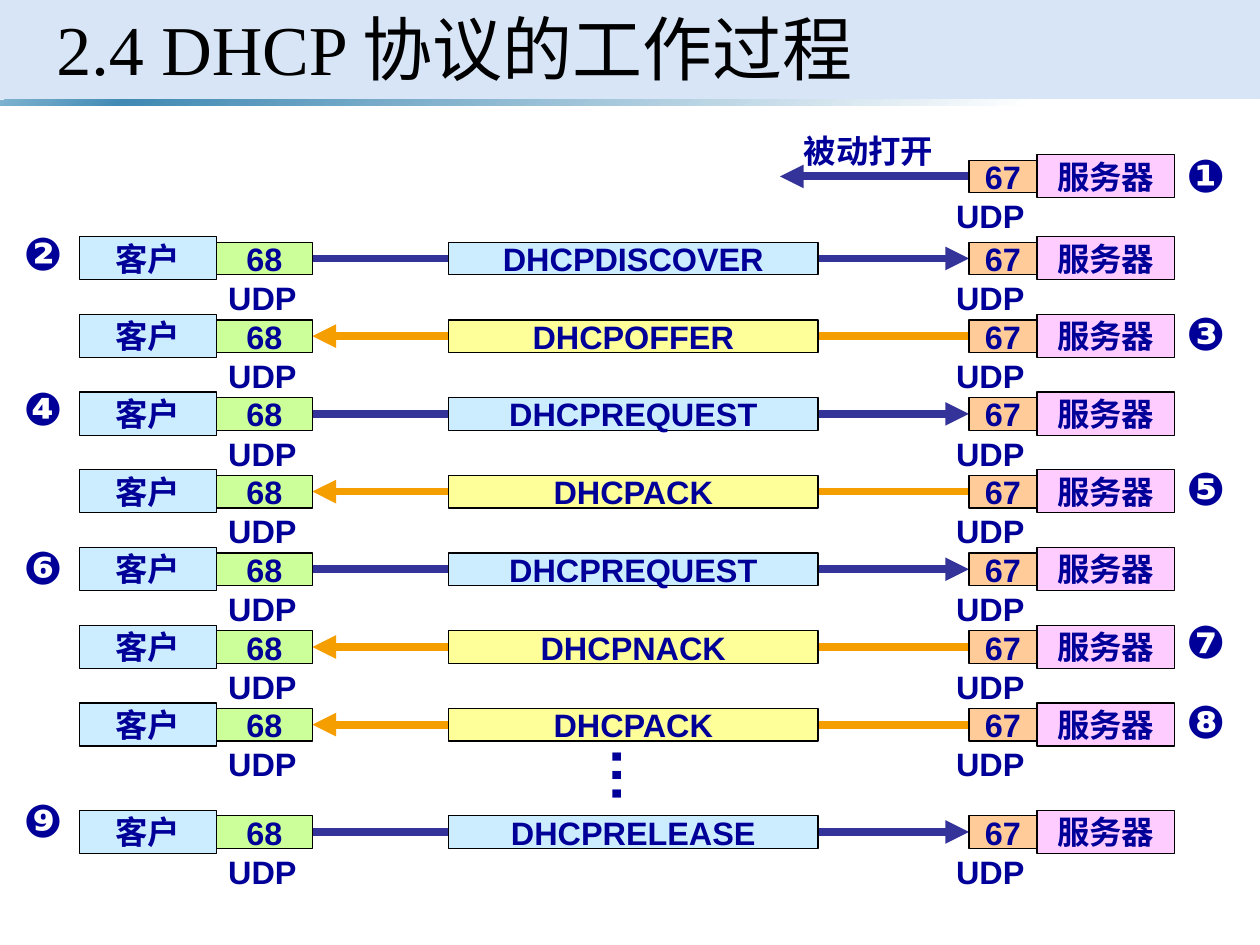
from lxml import etree
from pptx import Presentation
from pptx.dml.color import RGBColor
from pptx.enum.shapes import MSO_CONNECTOR as LINE, MSO_SHAPE as SHAPE
from pptx.enum.text import MSO_ANCHOR as ANCHOR, MSO_AUTO_SIZE as FIT, PP_ALIGN as ALIGN
from pptx.oxml import parse_xml
from pptx.oxml.ns import nsdecls, qn
from pptx.util import Pt

COLORS = {
    "text": "000099", "black": "000000", "banner": "C8DAF4",
    "client": "CCECFF", "server": "FFCCFF", "port 68": "CCFF99", "port 67": "FFCC99",
    "request": "CCECFF", "reply": "FFFF99",
    "request arrow": "333399", "reply arrow": "F59E00",
}

deck = Presentation()
deck.slide_width, deck.slide_height = Pt(720), Pt(540)
page = deck.slides.add_slide(deck.slide_layouts[6])


def color(name):
    return RGBColor.from_string(COLORS[name])


def add_label(text, left, top, width, height, fill=None, size=18.5):
    """Add bold text, in an outlined rectangle if a fill is named."""
    place = Pt(left), Pt(top), Pt(width), Pt(height)
    if fill:
        box = page.shapes.add_shape(SHAPE.RECTANGLE, *place)
        box.shadow.inherit = False
        box.fill.solid()
        box.fill.fore_color.rgb = color(fill)
        box.line.color.rgb = color("black")
        box.line.width = Pt(0.75)
    else:
        box = page.shapes.add_textbox(*place)
    frame = box.text_frame
    frame.text = text
    frame.word_wrap = False
    frame.auto_size = FIT.NONE if fill else FIT.SHAPE_TO_FIT_TEXT
    frame.vertical_anchor = ANCHOR.MIDDLE if fill else ANCHOR.TOP
    para = frame.paragraphs[0]
    para.alignment = ALIGN.CENTER if fill else ALIGN.LEFT
    font = para.runs[0].font
    font.name, font.size, font.bold = "Arial", Pt(size), True
    font.color.rgb = color("text")
    return box


# Banner and the fading strip below it
banner = page.shapes.add_shape(SHAPE.RECTANGLE, 0, 0, Pt(720), Pt(56.9))
strip = page.shapes.add_shape(SHAPE.RECTANGLE, 0, Pt(56.9), Pt(720), Pt(3.6))
for bar in (banner, strip):
    bar.shadow.inherit = False
    bar.line.fill.background()
banner.fill.solid()
banner.fill.fore_color.rgb = color("banner")
tint = banner.fill._xPr.find(qn("a:solidFill"))[0]
etree.SubElement(tint, qn("a:alpha"), val="70000")

stops = [(0, "7EB3D0"), (10, "418AB3"), (82, "FFFFFF"), (96, "FFFFFF")]
stop_xml = "".join(
    f'<a:gs pos="{pos * 1000}"><a:srgbClr val="{value}"/></a:gs>' for pos, value in stops)
strip.element.spPr.find(qn("a:prstGeom")).addnext(parse_xml(
    f'<a:gradFill {nsdecls("a")} rotWithShape="1"><a:gsLst>{stop_xml}</a:gsLst>'
    '<a:lin ang="2700000" scaled="1"/></a:gradFill>'))

# Title
title = add_label("2.4 DHCP 协议的工作过程", 25.2, 0, 672.5, 60.5, size=40)
title.text_frame.word_wrap = True
title.text_frame.auto_size = FIT.NONE
title.text_frame.vertical_anchor = ANCHOR.MIDDLE
para = title.text_frame.paragraphs[0]
para.line_spacing = 0.9
span = para.runs[0]
span.font.name, span.font.bold = "Times New Roman", False
span.font.color.rgb = color("black")

# Steps: message, kind, number, top of the number
STEPS = [
    ("DHCPDISCOVER", "request", "❷", 125.3),
    ("DHCPOFFER", "reply", "❸", 170.6),
    ("DHCPREQUEST", "request", "❹", 213.8),
    ("DHCPACK", "reply", "❺", 259.2),
    ("DHCPREQUEST", "request", "❻", 304.6),
    ("DHCPNACK", "reply", "❼", 347),
    ("DHCPACK", "reply", "❽", 392.4),
    ("DHCPRELEASE", "request", "❾", 449.3),
]
FIRST_ROW, PITCH, LAST_ROW = 147.7, 44.4, 475.4
CLIENT_EDGE, SERVER_EDGE = 178.5, 553.7
centers = [FIRST_ROW + PITCH * row for row in range(len(STEPS) - 1)] + [LAST_ROW]
rows = [(100.8, None, "request", "❶", 80.6)]
rows += [(center, *step) for center, step in zip(centers, STEPS)]

for center, message, kind, number, number_top in rows:
    # Arrow
    if message is None:
        start, end = 555, 445.7
    elif kind == "request":
        start, end = CLIENT_EDGE, SERVER_EDGE
    else:
        start, end = SERVER_EDGE, CLIENT_EDGE
    arrow = page.shapes.add_connector(LINE.STRAIGHT, Pt(start), Pt(center), Pt(end), Pt(center))
    arrow.line.color.rgb = color(f"{kind} arrow")
    arrow.line.width = Pt(4.5)
    etree.SubElement(arrow.line._get_or_add_ln(), qn("a:tailEnd"), type="triangle")
    etree.SubElement(arrow.element.spPr, qn("a:effectLst"))

    # Client, message and server
    port_top, host_top, udp_top = center - 9.2, center - 12.4, center + 7.8
    if message:
        add_label("客户", 45.4, host_top, 78.4, 24.6, "client")
        add_label(message, 256.2, port_top, 211.3, 18.6, kind)
        add_label("68", 123.8, port_top, 54.7, 18.6, "port 68")
        add_label("UDP", 123.3, udp_top, 54, 29.5)
    add_label("服务器", 592.6, host_top, 78.4, 24.6, "server")
    add_label("67", SERVER_EDGE, port_top, 38.9, 18.6, "port 67")
    add_label("UDP", 539.3, udp_top, 54, 29.5)

    # Step number, beside the side that acts
    server_acts = message is None or kind == "reply"
    add_label(number, 671 if server_acts else 6.5, number_top, 37.4, 38.9, size=25.9)

# Passive open and the dots before the release
add_label("被动打开", 452.2, 71.3, 89.3, 29.5)
dots = add_label("…", 318.2, 419, 48.2, 47.5, size=33.2)
dots.rotation = 270

deck.save("out.pptx")
